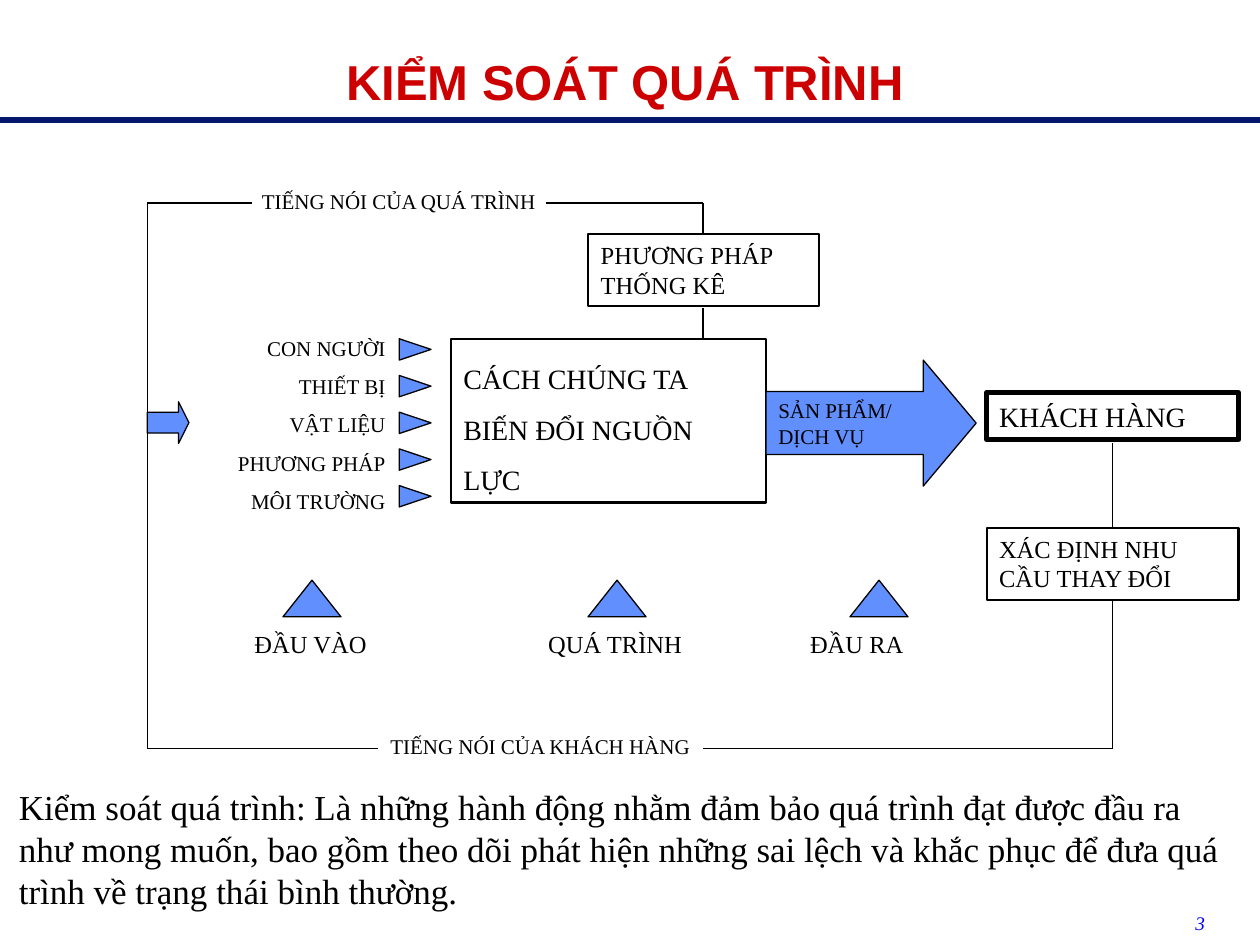
import dataclasses

import pptx
import pptx.dml.color
import pptx.enum.shapes
import pptx.enum.text
import pptx.util
from lxml import etree
from pptx.oxml.ns import qn

Cm = pptx.util.Cm
Pt = pptx.util.Pt
RGB = pptx.dml.color.RGBColor
Shape = pptx.enum.shapes.MSO_SHAPE
Align = pptx.enum.text.PP_ALIGN
Anchor = pptx.enum.text.MSO_ANCHOR


@dataclasses.dataclass(frozen=True)
class Theme:
    heading_font: str = "Arial"
    body_font: str = "Times New Roman"
    ink: RGB = RGB(0x00, 0x00, 0x00)
    title: RGB = RGB(0xCC, 0x00, 0x00)
    rule: RGB = RGB(0x01, 0x18, 0x6C)
    arrow: RGB = RGB(0x61, 0x8F, 0xFD)
    page: RGB = RGB(0x00, 0x00, 0xFF)
    title_size: int = 28
    conclusion_size: int = 20
    main_size: int = 16
    label_size: int = 14
    small_size: int = 12
    page_size: int = 11
    thin: float = 0.75
    outline: float = 1.25
    heavy: float = 3
    rule_width: float = 3.5


theme = Theme()
deck = pptx.Presentation()
deck.slide_width, deck.slide_height = Cm(25.4), Cm(19.05)
slide = deck.slides.add_slide(deck.slide_layouts[6])


def add_block(box, lines=(), size=theme.small_size, preset=None, fill=None,
              border=theme.thin, align=Align.LEFT, color=theme.ink,
              font=theme.body_font, spacing=None, gap=0):
    """Add a text box, or an outlined shape when a preset is given."""
    place = [Cm(length) for length in box]
    if preset is None:
        block = slide.shapes.add_textbox(*place)
    else:
        block = slide.shapes.add_shape(preset, *place)
        block.shadow.inherit = False
        block.line.color.rgb = theme.ink
        block.line.width = Pt(border)
        if fill is None:
            block.fill.background()
        else:
            block.fill.solid()
            block.fill.fore_color.rgb = fill
    frame = block.text_frame
    frame.word_wrap = True
    frame.vertical_anchor = Anchor.TOP
    for index, line in enumerate(lines):
        paragraph = frame.add_paragraph() if index else frame.paragraphs[0]
        paragraph.alignment = align
        if spacing:
            paragraph.line_spacing = spacing
        if index and gap:
            paragraph.space_before = Pt(gap)
        run = paragraph.add_run()
        run.text = line
        run.font.name = font
        run.font.size = Pt(size)
        run.font.color.rgb = color
    return block


def add_line(x1, y1, x2, y2, color=theme.ink, width=theme.thin):
    line = slide.shapes.add_connector(
        pptx.enum.shapes.MSO_CONNECTOR.STRAIGHT, Cm(x1), Cm(y1), Cm(x2), Cm(y2))
    line.line.color.rgb = color
    line.line.width = Pt(width)
    etree.SubElement(line._element.spPr, qn("a:effectLst"))


# Title and rule
title = add_block((0, 0.33, 25.2, 1.91), ["KIỂM SOÁT QUÁ TRÌNH"], theme.title_size,
                  align=Align.CENTER, color=theme.title,
                  font=theme.heading_font, spacing=1.5)
title.text_frame.paragraphs[0].runs[0].font.bold = True
add_line(0, 2.41, 25.4, 2.41, theme.rule, theme.rule_width)

# Feedback loop
left, top, right, bottom = 2.97, 4.09, 22.43, 15.09
method_x = 14.17
for ends in [
    (left, top, left, bottom),
    (left, top, 5.08, top),
    (11, top, method_x, top),
    (method_x, top, method_x, 4.72),
    (method_x, 6.2, method_x, 6.83),
    (right, 8.94, right, 10.64),
    (right, 12.12, right, bottom),
    (method_x, bottom, right, bottom),
    (left, bottom, 7.62, bottom),
]:
    add_line(*ends)
add_block((5.03, 3.68, 7.82, 0.76), ["TIẾNG NÓI CỦA QUÁ TRÌNH"])
add_block((7.62, 14.66, 7.82, 0.76), ["TIẾNG NÓI CỦA KHÁCH HÀNG"])
add_block((left, 8.1, 0.84, 0.84), preset=Shape.RIGHT_ARROW,
          fill=theme.arrow).adjustments[1] = 0.25

# Inputs
inputs = ["CON NGƯỜI", "THIẾT BỊ", "VẬT LIỆU", "PHƯƠNG PHÁP", "MÔI TRƯỜNG"]
add_block((4.01, 6.63, 4.01, 3.86), inputs, align=Align.RIGHT, gap=7.5)
for row in range(len(inputs)):
    pointer = add_block((8.05, 6.83 + 0.74 * row, 0.64, 0.43),
                        preset=Shape.RIGHT_ARROW, fill=theme.arrow)
    pointer.adjustments[0], pointer.adjustments[1] = 0.33, 1.5

# Process, statistical methods, customer and needs
for box, wording, size, border, spacing in [
    ((9.09, 6.83, 6.35, 3.3), "CÁCH CHÚNG TA BIẾN ĐỔI NGUỒN LỰC",
     theme.main_size, theme.outline, 1.5),
    ((11.86, 4.72, 4.65, 1.45), "PHƯƠNG PHÁP THỐNG KÊ",
     theme.label_size, theme.outline, None),
    ((19.89, 7.92, 5.08, 0.94), "KHÁCH HÀNG",
     theme.main_size, theme.heavy, None),
    ((19.89, 10.64, 5.08, 1.45), "XÁC ĐỊNH NHU CẦU THAY ĐỔI",
     theme.label_size, theme.outline, None),
]:
    add_block(box, [wording], size, Shape.RECTANGLE, border=border, spacing=spacing)

# Output
product = add_block((15.44, 7.26, 4.24, 2.54), ["SẢN PHẨM/", "DỊCH VỤ"],
                    preset=Shape.RIGHT_ARROW, fill=theme.arrow)
product.adjustments[1] = 0.42
product.text_frame.word_wrap = False
product.text_frame.vertical_anchor = Anchor.MIDDLE

# Stages
for arrow_x, label_x, stage in [
    (5.92, 4.88, "ĐẦU VÀO"),
    (12.07, 10.8, "QUÁ TRÌNH"),
    (17.35, 16.08, "ĐẦU RA"),
]:
    marker = add_block((arrow_x, 11.48, 0.74, 1.17),
                       preset=Shape.RIGHT_ARROW, fill=theme.arrow)
    marker.rotation = 270
    marker.adjustments[0], marker.adjustments[1] = 0.33, 1
    add_block((label_x, 12.55, 3.38, 0.86), [stage], theme.label_size)

# Conclusion and page number
add_block((0.13, 15.7, 24.84, 2.79), [
    "Kiểm soát quá trình: Là những hành động nhằm đảm bảo quá trình đạt được "
    "đầu ra như mong muốn, bao gồm theo dõi phát hiện những sai lệch và khắc "
    "phục để đưa quá trình về trạng thái bình thường."], theme.conclusion_size)
page = add_block((18.62, 18.24, 5.92, 0.64), ["3"], theme.page_size,
                 align=Align.RIGHT, color=theme.page)
page.text_frame.paragraphs[0].runs[0].font.italic = True

deck.save("out.pptx")
